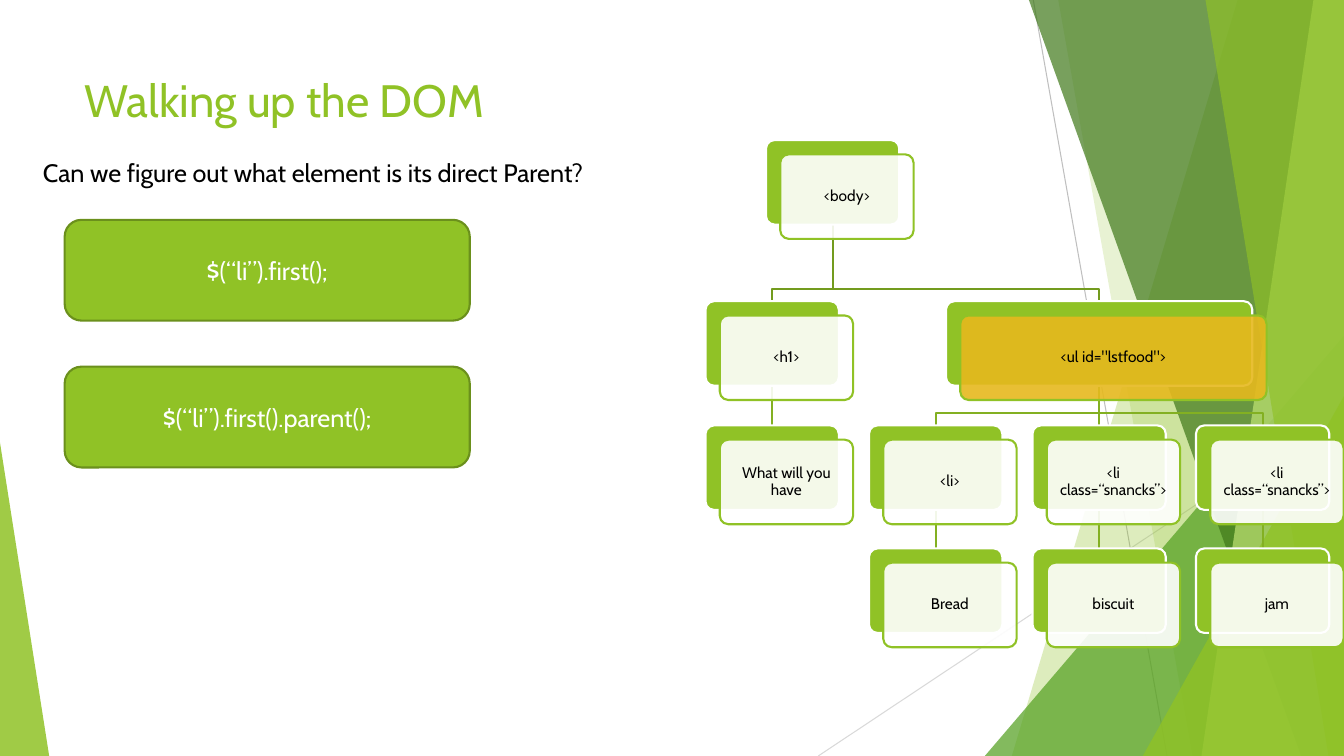
from dataclasses import dataclass

from lxml import etree
from pptx import Presentation
from pptx.dml.color import RGBColor
from pptx.enum import shapes, text
from pptx.oxml.ns import qn
from pptx.util import Cm, Pt


@dataclass(frozen=True)
class Theme:
    font: str = "Cabin"
    green: str = "90C226"
    leaf: str = "54A021"
    forest: str = "3F7819"
    lime: str = "C0E474"
    gold: str = "E6B91E"
    edge: str = "6B901C"
    white: str = "FFFFFF"
    black: str = "000000"
    title_size: float = 32.4
    body_size: float = 18
    node_size: float = 11
    outline: float = 1.5
    hairline: float = 0.75


THEME = Theme()
WIDTH, HEIGHT = 33.87, 19.05

TITLE = "Walking up the DOM"
QUESTION = "Can we figure out what element is its direct Parent?"
CODE_LINES = ["$(“li”).first();", "$(“li”).first().parent();"]

# name: (label, column, level, parent)
TREE = {
    "body": ("<body>", 0.37, 0, None),
    "h1": ("<h1>", 0, 1, "body"),
    "heading": ("What will you have", 0, 2, "h1"),
    "ul": ('<ul id="lstfood">', 2, 1, "body"),
    "li 1": ("<li>", 1, 2, "ul"),
    "bread": ("Bread", 1, 3, "li 1"),
    "li 2": ("<li class=“snancks”>", 2, 2, "ul"),
    "biscuit": ("biscuit", 2, 3, "li 2"),
    "li 3": ("<li class=“snancks”>", 3, 2, "ul"),
    "jam": ("jam", 3, 3, "li 3"),
}
HIGHLIGHT = "ul"
LEVEL_TOPS = [3.53, 7.59, 10.72, 13.82]
LINK_COLORS = {1: "739B1E", 2: "83B022", 3: "83B022"}
FIRST_CENTER, COLUMN_PITCH = 19.46, 4.12
NODE_WIDTH, WIDE_NODE, NODE_HEIGHT = 3.36, 7.72, 2.13
CARD_SHIFT, ELBOW_GAP = 0.36, 0.31

# start x, start y, end x, end y, colour
HAIRLINES = [
    (26.04, 0, 29.41, HEIGHT, "BFBFBF"),
    (WIDTH, 10.24, 20.62, HEIGHT, "D9D9D9"),
]
# Wings reach the right edge: ("wing", top x, bottom x, colour, opacity)
# Triangles stand on the bottom: ("triangle", left, top, width, apex, colour, opacity)
FACETS = [
    ("wing", 31.19, 25.5, THEME.green, 30),
    ("wing", 26.67, 30.05, THEME.green, 20),
    ("triangle", 24.82, 8.46, 9.05, 1, THEME.leaf, 72),
    ("wing", 25.93, 32.79, THEME.forest, 70),
    ("wing", 33.1, 30.28, THEME.lime, 70),
    ("wing", 30.38, 33.48, THEME.green, 65),
    ("triangle", 28.8, 9.98, 5.07, 1, THEME.green, 80),
    ("triangle", 0, 11.15, 1.24, 0, THEME.green, 85),
]


def paint(shape, fill=None, line=None, opacity=100):
    shape.shadow.inherit = False
    if fill:
        shape.fill.solid()
        shape.fill.fore_color.rgb = RGBColor.from_string(fill)
        if opacity < 100:
            color = shape.fill._xPr.find(qn("a:solidFill"))[0]
            etree.SubElement(color, qn("a:alpha"), val=str(opacity * 1000))
    else:
        shape.fill.background()
    if line:
        shape.line.color.rgb = RGBColor.from_string(line)
        shape.line.width = Pt(THEME.outline)
    else:
        shape.line.fill.background()


def write(shape, words, size, color, align=text.PP_ALIGN.LEFT,
          anchor=text.MSO_ANCHOR.TOP, wrap=True):
    frame = shape.text_frame
    frame.word_wrap = wrap
    frame.vertical_anchor = anchor
    para = frame.paragraphs[0]
    para.text = words
    para.alignment = align
    para.font.name = THEME.font
    para.font.size = Pt(size)
    para.font.color.rgb = RGBColor.from_string(color)
    return frame


def add_line(page, x1, y1, x2, y2, color, width):
    line = page.shapes.add_connector(
        shapes.MSO_CONNECTOR.STRAIGHT, Cm(x1), Cm(y1), Cm(x2), Cm(y2))
    line.line.color.rgb = RGBColor.from_string(color)
    line.line.width = Pt(width)
    etree.SubElement(line._element.spPr, qn("a:effectLst"))


def add_outline(page, points, close):
    corners = [(Cm(x), Cm(y)) for x, y in points]
    builder = page.shapes.build_freeform(*corners[0])
    builder.add_line_segments(corners[1:], close=close)
    return builder.convert_to_shape()


def add_round_box(page, left, top, width, height, **colors):
    box = page.shapes.add_shape(shapes.MSO_SHAPE.ROUNDED_RECTANGLE,
                                Cm(left), Cm(top), Cm(width), Cm(height))
    paint(box, **colors)
    return box


def add_backdrop(page):
    for *ends, color in HAIRLINES:
        add_line(page, *ends, color, THEME.hairline)
    for kind, *place, color, opacity in FACETS:
        if kind == "wing":
            top_x, bottom_x = place
            facet = add_outline(page, [(top_x, 0), (WIDTH, 0), (WIDTH, HEIGHT),
                                       (bottom_x, HEIGHT)], close=True)
        else:
            left, top, width, apex = place
            facet = page.shapes.add_shape(
                shapes.MSO_SHAPE.ISOSCELES_TRIANGLE,
                Cm(left), Cm(top), Cm(width), Cm(HEIGHT - top))
            facet.adjustments[0] = apex
        paint(facet, fill=color, opacity=opacity)


def node_center(name):
    return FIRST_CENTER + TREE[name][1] * COLUMN_PITCH


def add_link(page, parent, child):
    level = TREE[child][2]
    start_x, end_x = node_center(parent), node_center(child)
    start_y = LEVEL_TOPS[level - 1] + NODE_HEIGHT
    end_y = LEVEL_TOPS[level]
    if start_x == end_x:
        add_line(page, start_x, start_y, end_x, end_y,
                 LINK_COLORS[level], THEME.outline)
    else:
        bend = end_y - ELBOW_GAP
        elbow = add_outline(page, [(start_x, start_y), (start_x, bend),
                                   (end_x, bend), (end_x, end_y)], close=False)
        paint(elbow, line=LINK_COLORS[level])


def add_node(page, name):
    """Draw a green back plate and the labelled card in front of it."""
    label, _, level, _ = TREE[name]
    chosen = name == HIGHLIGHT
    width = WIDE_NODE if chosen else NODE_WIDTH
    left, top = node_center(name) - width / 2, LEVEL_TOPS[level]
    plate = add_round_box(page, left, top, width, NODE_HEIGHT,
                          fill=THEME.green, line=THEME.white)
    card = add_round_box(page, left + CARD_SHIFT, top + CARD_SHIFT, width, NODE_HEIGHT,
                         fill=THEME.gold if chosen else THEME.white,
                         line=THEME.green, opacity=90)
    for box in (plate, card):
        box.adjustments[0] = 0.1
    frame = write(card, label, THEME.node_size, THEME.black,
                  text.PP_ALIGN.CENTER, text.MSO_ANCHOR.MIDDLE)
    frame.margin_left = frame.margin_right = Cm(0.12)
    frame.margin_top = frame.margin_bottom = Cm(0.12)
    frame.paragraphs[0].line_spacing = 0.9


def main():
    deck = Presentation()
    deck.slide_width, deck.slide_height = Cm(WIDTH), Cm(HEIGHT)
    page = deck.slides.add_slide(deck.slide_layouts[6])
    add_backdrop(page)

    title = page.shapes.add_textbox(Cm(1.88), Cm(1.7), Cm(23.88), Cm(2.16))
    write(title, TITLE, THEME.title_size, THEME.green)
    question = page.shapes.add_textbox(Cm(0.83), Cm(3.84), Cm(15.54), Cm(1.02))
    write(question, QUESTION, THEME.body_size, THEME.black, wrap=False)

    for row, code in enumerate(CODE_LINES):
        box = add_round_box(page, 1.63, 5.54 + row * 3.7, 10.21, 2.54,
                            fill=THEME.green, line=THEME.edge)
        write(box, code, THEME.body_size, THEME.white,
              text.PP_ALIGN.CENTER, text.MSO_ANCHOR.MIDDLE)

    for name, (_, _, _, parent) in TREE.items():
        if parent:
            add_link(page, parent, name)
    for name in TREE:
        add_node(page, name)
    deck.save("out.pptx")


if __name__ == "__main__":
    main()
